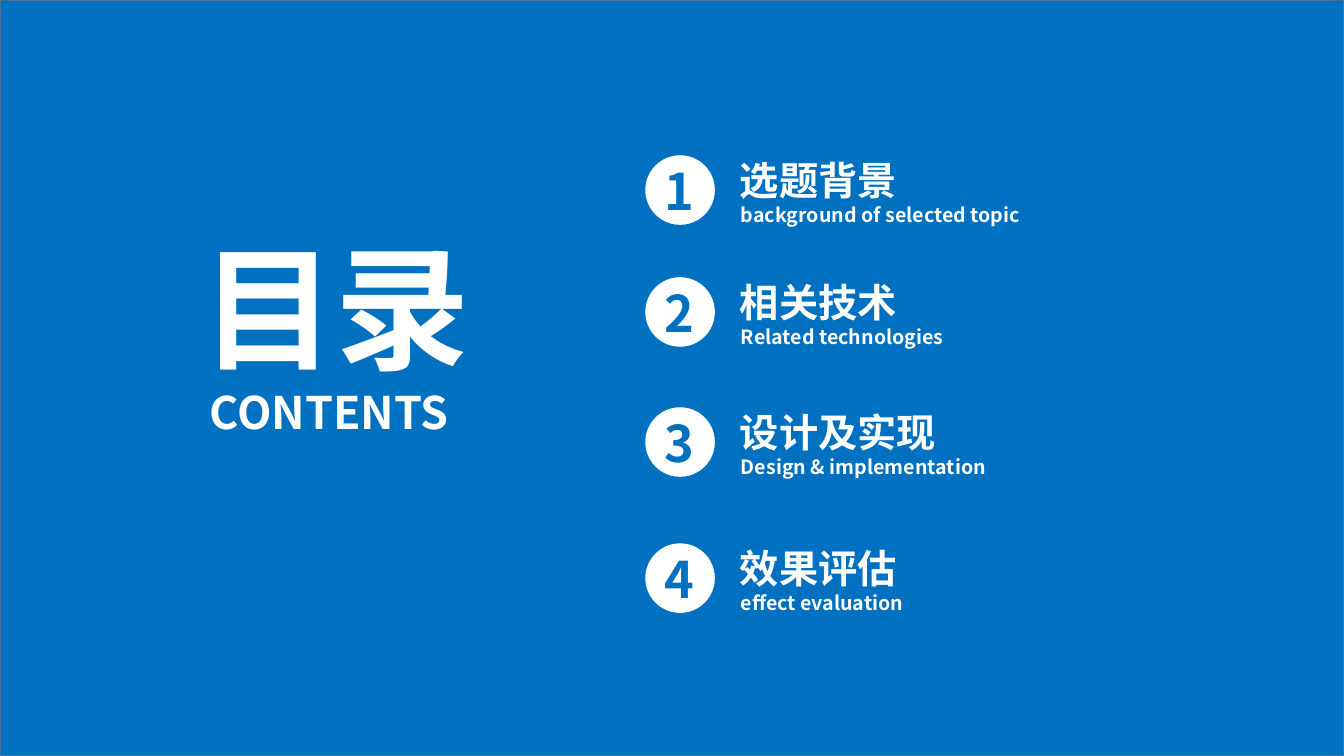
from pptx import Presentation
from pptx.dml.color import RGBColor
from pptx.enum import shapes, text
from pptx.oxml import ns
from pptx.util import Inches, Pt
from lxml import etree

FONT = "Noto Sans CJK SC"
BLUE, WHITE, EDGE = "0070C0", "FFFFFF", "43739E"
W, H = 13.33, 7.5
DOT = 0.69
# Top of each entry, title, subtitle
ENTRIES = [
    (1.54, "选题背景", "background of selected topic"),
    (2.75, "相关技术", "Related technologies"),
    (4.04, "设计及实现", "Design & implementation"),
    (5.39, "效果评估", "effect evaluation"),
]


def color(code):
    return RGBColor.from_string(code)


def add_solid(s, kind, x, y, w, h, fill, line=None):
    sp = s.shapes.add_shape(kind, Inches(x), Inches(y), Inches(w), Inches(h))
    sp.shadow.inherit = False
    sp.fill.solid()
    sp.fill.fore_color.rgb = color(fill)
    if line:
        sp.line.color.rgb = color(line)
        sp.line.width = Pt(1)
    else:
        sp.line.fill.background()


def add_label(s, x, y, w, h, words, size, ink=WHITE, wrap=True):
    tf = s.shapes.add_textbox(Inches(x), Inches(y), Inches(w), Inches(h)).text_frame
    tf.word_wrap = wrap
    tf.auto_size = text.MSO_AUTO_SIZE.SHAPE_TO_FIT_TEXT
    p = tf.paragraphs[0]
    p.text = words
    p.font.name, p.font.size, p.font.bold = FONT, Pt(size), True
    p.font.color.rgb = color(ink)
    # East Asian characters take their own typeface setting
    rpr = p.runs[0].font
    rpr.name = FONT
    latin = p.runs[0]._r.rPr.find(ns.qn("a:latin"))
    ea = etree.Element(ns.qn("a:ea"), typeface=FONT)
    latin.addnext(ea)


def add_heading(s, x, y, w):
    add_label(s, x, y, w, 1.72, "目录", 96, wrap=False)
    add_label(s, x + 0.08, y + 1.59, w - 0.16, 0.64, "CONTENTS", 32)


def add_entry(s, x, y, number, title, subtitle):
    add_solid(s, shapes.MSO_SHAPE.OVAL, x, y, DOT, DOT, WHITE)
    add_label(s, x + 0.09, y, 0.44, 0.71, str(number), 36, BLUE)
    add_label(s, x + 0.84, y - 0.04, 3.36, 0.57, title, 28)
    add_label(s, x + 0.85, y + 0.42, 4.01, 0.34, subtitle, 14)


def main():
    prs = Presentation()
    prs.slide_width, prs.slide_height = Inches(W), Inches(H)
    s = prs.slides.add_slide(prs.slide_layouts[6])
    add_solid(s, shapes.MSO_SHAPE.RECTANGLE, 0, 0, W, H, BLUE, EDGE)
    add_heading(s, 1.9, 2.18, 2.89)
    for number, (top, title, subtitle) in enumerate(ENTRIES, 1):
        add_entry(s, 6.4, top, number, title, subtitle)
    prs.save("out.pptx")


if __name__ == "__main__":
    main()
